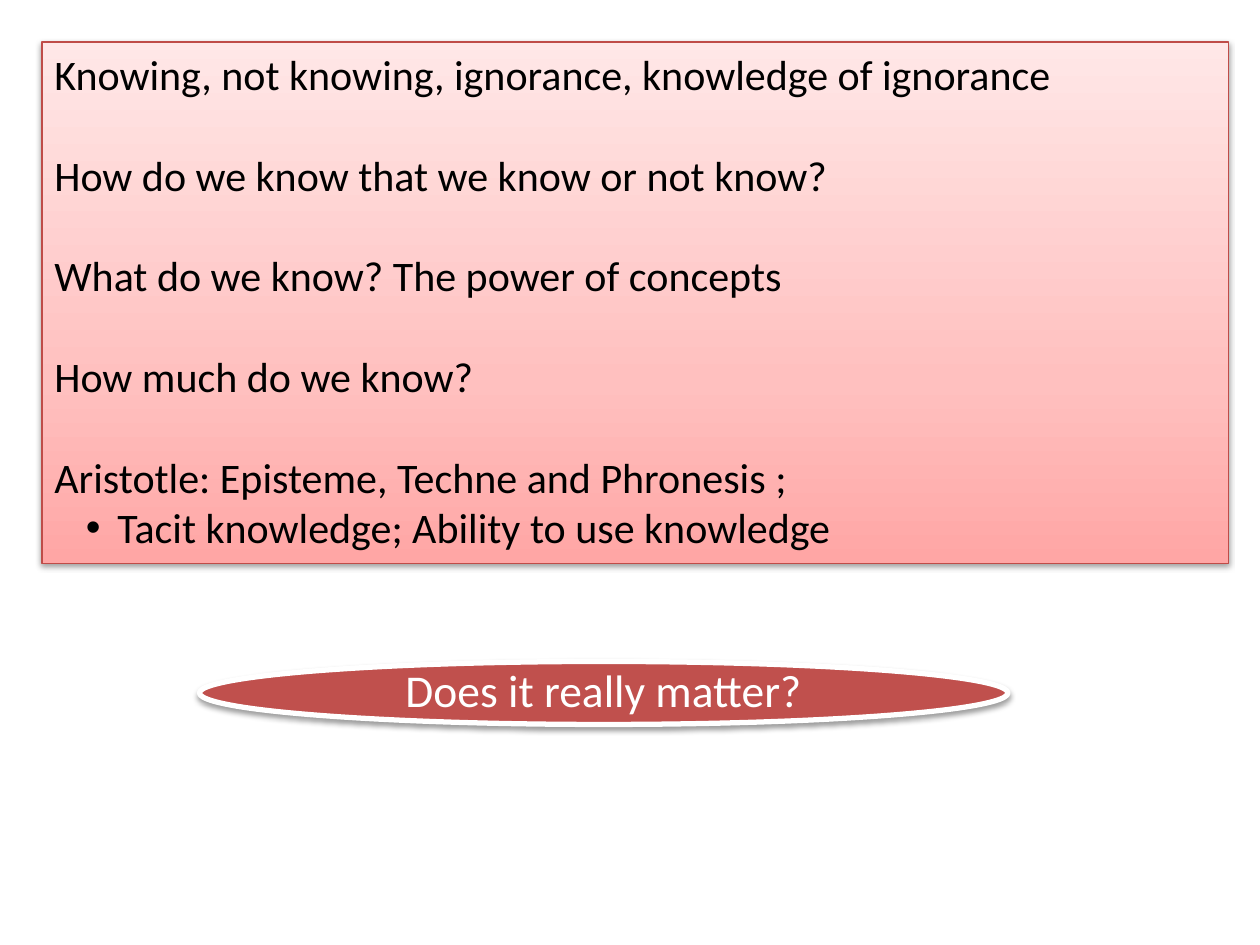
from copy import deepcopy

from pptx import Presentation
from pptx.dml.color import RGBColor
from pptx.enum.shapes import MSO_SHAPE as Shape
from pptx.enum.text import MSO_ANCHOR as Anchor, PP_ALIGN as Align
from pptx.oxml import parse_xml
from pptx.oxml.ns import nsdecls, qn
from pptx.util import Pt

COLORS = {
    "text": "000000",
    "white": "FFFFFF",
    "panel_line": "BF4C48",
    "ellipse": "C0504D",
    "deep_pink": "FFA6A5",
    "mid_pink": "FFC0BF",
    "pale_pink": "FFE7E7",
}
QUESTIONS = [
    "Knowing, not knowing, ignorance, knowledge of ignorance",
    "How do we know that we know or not know?",
    "What do we know? The power of concepts",
    "How much do we know?",
    "Aristotle: Episteme, Techne and Phronesis ;",
]
SUBPOINT = "Tacit knowledge; Ability to use knowledge"
LINE_GAP = 28.8


def color(name):
    """Return the named colour."""
    return RGBColor.from_string(COLORS[name])


def add_shadow(shape):
    """Give the shape a soft shadow below it."""
    shape.shadow.inherit = False
    effects = shape._element.spPr.find(qn("a:effectLst"))
    effects.append(parse_xml(
        f'<a:outerShdw {nsdecls("a")} blurRad="{Pt(3.1)}" dist="{Pt(1.6)}" '
        'dir="5400000" rotWithShape="0"><a:srgbClr val="000000">'
        '<a:alpha val="38000"/></a:srgbClr></a:outerShdw>'))


def add_outlined_shape(slide, kind, bounds, line, width):
    """Add a shadowed shape with a coloured outline."""
    shape = slide.shapes.add_shape(kind, *map(Pt, bounds))
    shape.line.color.rgb = color(line)
    shape.line.width = Pt(width)
    add_shadow(shape)
    shape.text_frame.word_wrap = True
    return shape


def fill_gradient(shape, stops):
    """Fill the shape upwards through three (position, colour) stops."""
    shape.fill.gradient()
    shape.fill.gradient_angle = 90
    stop_list = shape._element.spPr.find(qn("a:gradFill")).find(qn("a:gsLst"))
    stop_list.append(deepcopy(stop_list[-1]))
    for stop, (position, name) in zip(shape.fill.gradient_stops, stops):
        stop.position = position
        stop.color.rgb = color(name)


def write_paragraph(paragraph, text, size, font_color, align=Align.LEFT):
    """Write and format one paragraph."""
    paragraph.text = text
    paragraph.alignment = align
    paragraph.font.name = "Calibri"
    paragraph.font.size = Pt(size)
    paragraph.font.color.rgb = color(font_color)


def add_bullet(paragraph):
    """Indent the paragraph one level behind a round bullet."""
    paragraph.level = 1
    properties = paragraph._p.get_or_add_pPr()
    properties.set("marL", str(Pt(36)))
    properties.set("indent", str(-Pt(18)))
    for element in ('buFont typeface="Arial"', 'buChar char="•"'):
        tag, attribute = element.split(" ")
        properties.append(parse_xml(f'<a:{tag} {nsdecls("a")} {attribute}/>'))


def add_question_panel(slide):
    """Add the gradient panel with the questions and the bulleted point."""
    panel = add_outlined_shape(
        slide, Shape.RECTANGLE, (24, 24, 678, 298), "panel_line", 0.75)
    fill_gradient(
        panel, [(0, "deep_pink"), (0.35, "mid_pink"), (1, "pale_pink")])
    frame = panel.text_frame
    frame.vertical_anchor = Anchor.TOP
    for index, question in enumerate(QUESTIONS):
        paragraph = frame.add_paragraph() if index else frame.paragraphs[0]
        write_paragraph(paragraph, question, 24, "text")
        if index:
            paragraph.space_before = Pt(LINE_GAP)
    subpoint = frame.add_paragraph()
    add_bullet(subpoint)
    write_paragraph(subpoint, SUBPOINT, 24, "text")


def add_closing_question(slide):
    """Add the ellipse with the closing question."""
    ellipse = add_outlined_shape(
        slide, Shape.OVAL, (114, 378, 462, 36), "white", 3)
    ellipse.fill.solid()
    ellipse.fill.fore_color.rgb = color("ellipse")
    frame = ellipse.text_frame
    frame.margin_left = frame.margin_right = Pt(0)
    frame.margin_top = frame.margin_bottom = Pt(0)
    frame.vertical_anchor = Anchor.MIDDLE
    paragraph = frame.paragraphs[0]
    write_paragraph(
        paragraph, "Does it really matter?", 26, "white", Align.CENTER)
    paragraph.line_spacing = 0.9


def main():
    """Build and save the slide."""
    presentation = Presentation()
    presentation.slide_width = Pt(720)
    presentation.slide_height = Pt(540)
    slide = presentation.slides.add_slide(presentation.slide_layouts[6])
    add_question_panel(slide)
    add_closing_question(slide)
    presentation.save("out.pptx")


if __name__ == "__main__":
    main()
